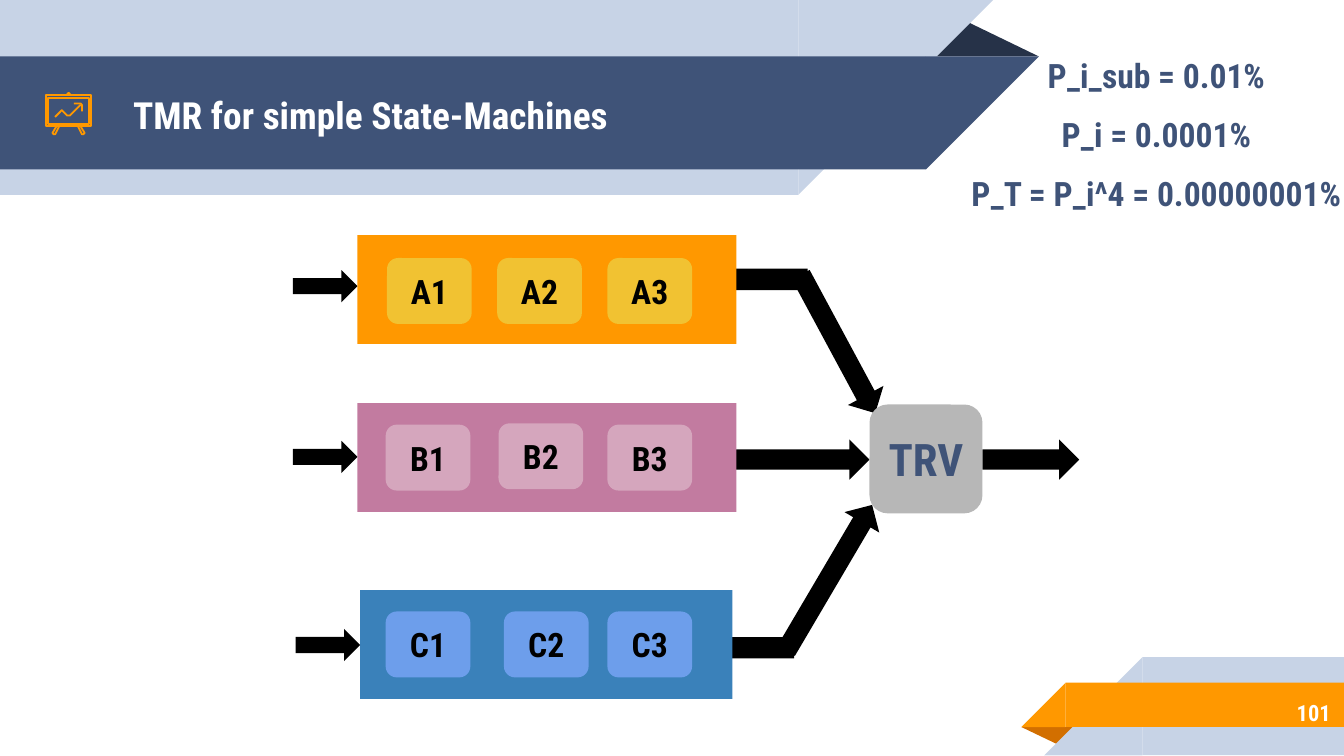
import pptx
import pptx.dml.color
import pptx.enum.shapes
import pptx.enum.text
import pptx.util

Inches = pptx.util.Inches
SHAPES = pptx.enum.shapes.MSO_SHAPE
ALIGN = pptx.enum.text.PP_ALIGN
NAVY, PALE, ORANGE, BLACK, WHITE = "3F5378", "C7D3E6", "FF9800", "000000", "FFFFFF"
FRAME_FORMAT = {
    "word_wrap": True,
    "auto_size": pptx.enum.text.MSO_AUTO_SIZE.NONE,
    "vertical_anchor": pptx.enum.text.MSO_ANCHOR.MIDDLE,
    **{f"margin_{side}": Inches(0.1) for side in ("left", "top", "right", "bottom")},
}


def colour(value):
    return pptx.dml.color.RGBColor.from_string(value)


def apply_format(target, values):
    for name, value in values.items():
        setattr(target, name, value)


def place(shape, left, top, width, height):
    box = {"left": left, "top": top, "width": width, "height": height}
    apply_format(shape, {name: Inches(value) for name, value in box.items()})


def write(shape, lines, size, text_colour, alignment, gap=0):
    frame = shape.text_frame
    apply_format(frame, FRAME_FORMAT)
    frame.text = "\n".join(lines)
    for index, paragraph in enumerate(frame.paragraphs):
        space = pptx.util.Pt(gap if index else 0)
        apply_format(paragraph, {"alignment": alignment, "space_before": space})
        font = {"name": "Roboto Condensed", "size": pptx.util.Pt(size), "bold": True}
        apply_format(paragraph.font, font)
        paragraph.font.color.rgb = colour(text_colour)


def add_block(slide, kind, left, top, width, height, fill, rotation=0, adjustment=None):
    shape = slide.shapes.add_shape(kind, *map(Inches, (left, top, width, height)))
    shape.shadow.inherit = False
    shape.fill.solid()
    shape.fill.fore_color.rgb = colour(fill)
    shape.line.fill.background()
    shape.rotation = rotation
    if adjustment is not None:
        shape.adjustments[0] = adjustment
    return shape


def add_arrow(slide, left, top, width, height=0.3, rotation=0):
    add_block(slide, SHAPES.RIGHT_ARROW, left, top, width, height, BLACK, rotation)


def add_header(slide, left, top):
    add_block(slide, SHAPES.ISOSCELES_TRIANGLE, left + 6.88, top + 0.14, 0.85, 0.28,
              "263248", adjustment=0.32)
    for offset, width, height, fill in ((0, 5.94, 1.45, PALE), (0.42, 6.89, 0.84, NAVY)):
        add_block(slide, SHAPES.RECTANGLE, left, top + offset, width, height, fill)
        add_block(slide, SHAPES.RIGHT_TRIANGLE, left + width, top + offset, height, height,
                  fill, 90)


def add_footer(slide, left, top):
    add_block(slide, SHAPES.ISOSCELES_TRIANGLE, left, top + 0.52, 0.43, 0.14,
              "D26F00", 180, 0.32)
    for x, y, width, height, fill in ((0.9, 0, 1.5, 0.73, PALE),
                                      (0.33, 0.19, 2.07, 0.33, ORANGE)):
        add_block(slide, SHAPES.RECTANGLE, left + x, top + y, width, height, fill)
        add_block(slide, SHAPES.RIGHT_TRIANGLE, left + x - height, top + y, height, height,
                  fill, 270)
    number = slide.shapes.add_textbox(*map(Inches, (left + 0.77, top + 0.24, 1.63, 0.35)))
    write(number, ["101"], 12, WHITE, ALIGN.RIGHT)


def add_board_icon(slide, left, top):
    strokes = [
        ([(0, 0.02), (0.34, 0.02), (0.34, 0.25), (0, 0.25)], True),
        ([(0.02, 0.04), (0.32, 0.04), (0.32, 0.23), (0.02, 0.23)], True),
        ([(0.16, 0.02), (0.16, 0.01), (0.17, 0), (0.18, 0.01), (0.18, 0.02)], False),
        ([(0.08, 0.25), (0.05, 0.3), (0.06, 0.31), (0.07, 0.31), (0.1, 0.25)], False),
        ([(0.24, 0.25), (0.27, 0.31), (0.28, 0.31), (0.29, 0.3), (0.26, 0.25)], False),
        ([(0.07, 0.18), (0.12, 0.13), (0.16, 0.17), (0.18, 0.17), (0.26, 0.09)], False),
        ([(0.21, 0.08), (0.26, 0.08), (0.27, 0.09), (0.27, 0.14)], False),
    ]
    for points, closed in strokes:
        corners = [(Inches(left + x), Inches(top + y)) for x, y in points]
        builder = slide.shapes.build_freeform(*corners[0])
        builder.add_line_segments(corners[1:], close=closed)
        stroke = builder.convert_to_shape()
        stroke.shadow.inherit = False
        stroke.fill.background()
        stroke.line.color.rgb = colour(ORANGE)
        stroke.line.width = pptx.util.Pt(0.96)


def add_module(slide, left, top, width, fill, cell_fill, letter, cells, arrow_top):
    add_block(slide, SHAPES.RECTANGLE, left, top, width, 0.81, fill)
    add_arrow(slide, left - 0.48, top + arrow_top, 0.48, 0.24)
    for number, (x, y) in enumerate(cells, 1):
        cell = add_block(slide, SHAPES.ROUNDED_RECTANGLE, left + x, top + y, 0.63, 0.49,
                         cell_fill)
        write(cell, [f"{letter}{number}"], 18, BLACK, ALIGN.CENTER)


def add_voter(slide, left, top):
    for x, y, width in ((-1.02, -1.01, 0.56), (-1.07, 1.73, 0.51)):
        add_block(slide, SHAPES.RECTANGLE, left + x, top + y, width, 0.16, BLACK)
    add_arrow(slide, left - 0.82, top - 0.6, 1.17, rotation=61.7)
    add_arrow(slide, left - 1.07, top + 0.26, 1.07)
    add_arrow(slide, left - 0.93, top + 1.14, 1.26, rotation=300.5)
    add_arrow(slide, left + 0.84, top + 0.26, 0.72)
    voter = add_block(slide, SHAPES.ROUNDED_RECTANGLE, left, top, 0.84, 0.81, "B7B7B7")
    write(voter, ["TRV"], 24, NAVY, ALIGN.CENTER)


def fill_placeholder(placeholder, box, *text):
    place(placeholder, *box)
    write(placeholder, *text)
    placeholder.element.getparent().append(placeholder.element)


def main():
    presentation = pptx.Presentation()
    width = Inches(10)
    apply_format(presentation, {"slide_width": width, "slide_height": width * 9 // 16})
    slide = presentation.slides.add_slide(presentation.slide_layouts[0])
    title, probabilities = slide.placeholders

    add_header(slide, 0, 0)
    add_footer(slide, 7.6, 4.89)
    fill_placeholder(title, (0.89, 0.43, 5.98, 0.84),
                     ["TMR for simple State-Machines"], 20, WHITE, ALIGN.LEFT)
    add_board_icon(slide, 0.34, 0.69)
    add_voter(slide, 6.47, 3.01)
    modules = [
        (2.66, 1.75, 2.82, ORANGE, "F1C232", "A",
         [(0.22, 0.17), (1.04, 0.17), (1.86, 0.17)], 0.26),
        (2.66, 3, 2.82, "C27BA0", "D5A6BD", "B",
         [(0.21, 0.16), (1.05, 0.15), (1.86, 0.16)], 0.28),
        (2.68, 4.39, 2.77, "3A81BA", "6D9EEB", "C",
         [(0.19, 0.16), (1.07, 0.16), (1.84, 0.16)], 0.29),
    ]
    for module in modules:
        add_module(slide, *module)
    fill_placeholder(probabilities, (7.12, 0.34, 2.97, 1.31),
                     ["P_i_sub = 0.01%", "P_i = 0.0001%", "P_T = P_i^4 = 0.00000001%"],
                     18, NAVY, ALIGN.CENTER, 10)
    presentation.save("out.pptx")


if __name__ == "__main__":
    main()
